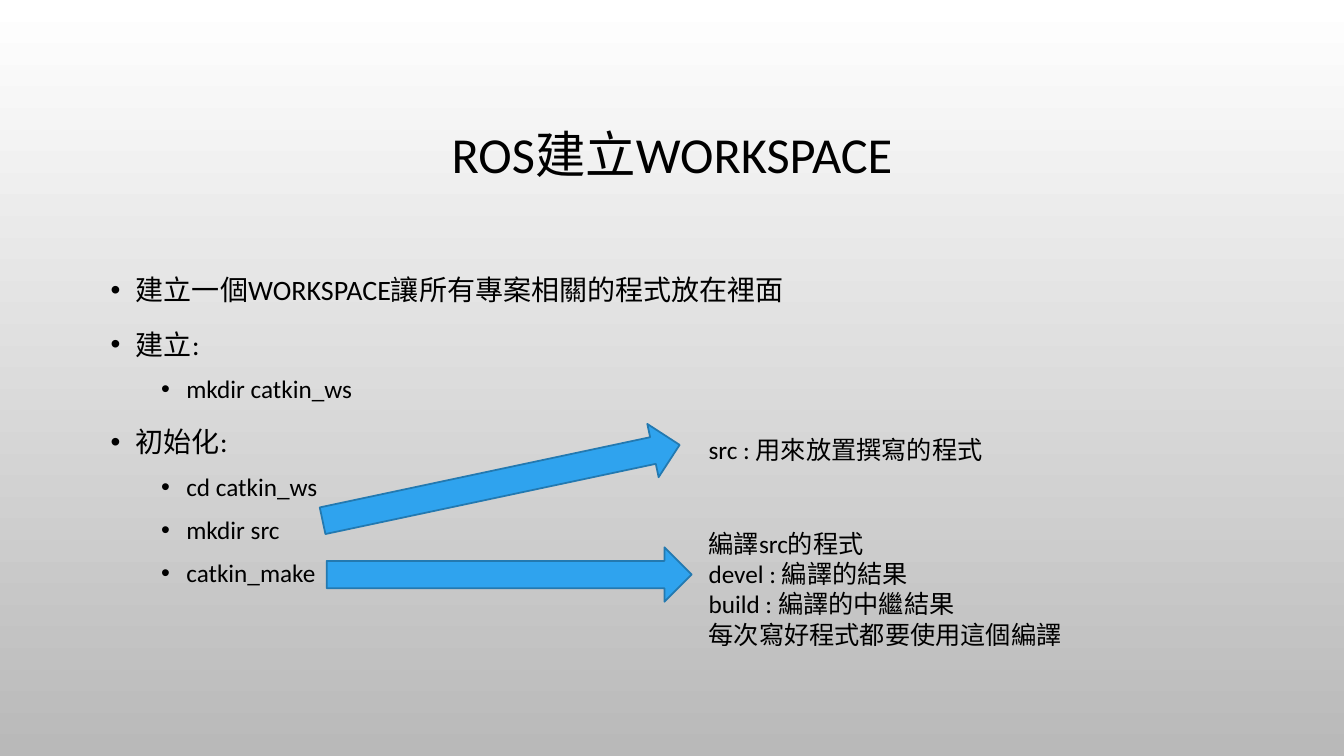
from lxml.etree import SubElement
from pptx import Presentation
from pptx.dml.color import RGBColor
from pptx.enum.shapes import MSO_SHAPE as Shape
from pptx.enum.text import MSO_ANCHOR as Anchor, MSO_AUTO_SIZE as AutoSize, PP_ALIGN as Align
from pptx.oxml.ns import qn
from pptx.util import Inches, Pt

COLORS = {"text": "000000", "arrow": "2FA3EE", "outline": "2379B0",
          "top": "FFFFFF", "bottom": "B9B9B9"}
BULLET_STYLES = [{"size": 20, "indent": 0.25, "before": 10},
                 {"size": 18, "indent": 0.75, "before": 5}]
STEPS = [(0, "建立一個WORKSPACE讓所有專案相關的程式放在裡面"),
         (0, "建立:"), (1, "mkdir catkin_ws"),
         (0, "初始化:"), (1, "cd catkin_ws"), (1, "mkdir src"), (1, "catkin_make")]
SRC_NOTE = ["src : 用來放置撰寫的程式"]
BUILD_NOTE = ["編譯src的程式", "devel : 編譯的結果", "build : 編譯的中繼結果",
              "每次寫好程式都要使用這個編譯"]


class SlideBuilder:
    """Holds the style and the current slide."""

    def __init__(self, deck, font="Calibri"):
        self.page = deck.slides.add_slide(deck.slide_layouts[5])
        self.font = font

    def color(self, name):
        return RGBColor.from_string(COLORS[name])

    def background(self):
        fill = self.page.background.fill
        fill.gradient()
        fill.gradient_angle = 270
        for stop, position, name in zip(fill.gradient_stops, (0, 1), ("top", "bottom")):
            stop.position = position
            stop.color.rgb = self.color(name)

    def format_runs(self, para, size):
        for span in para.runs:
            span.font.name = self.font
            span.font.size = Pt(size)
            span.font.color.rgb = self.color("text")

    def title(self, text, left, top, width, height):
        box = self.page.shapes.title
        box.left, box.top = Inches(left), Inches(top)
        box.width, box.height = Inches(width), Inches(height)
        frame = box.text_frame
        frame.text = text
        frame.auto_size = AutoSize.NONE
        frame.vertical_anchor = Anchor.MIDDLE
        para = frame.paragraphs[0]
        para.alignment = Align.CENTER
        para.line_spacing = 0.9
        self.format_runs(para, 36)

    def text(self, lines, left, top, width, height, size=18):
        box = self.page.shapes.add_textbox(
            Inches(left), Inches(top), Inches(width), Inches(height))
        frame = box.text_frame
        frame.word_wrap = True
        frame.text = "\n".join(lines)
        for para in frame.paragraphs:
            self.format_runs(para, size)
        return frame

    def bullets(self, items, left, top, width, height):
        frame = self.text([text for _, text in items], left, top, width, height)
        for para, (level, _) in zip(frame.paragraphs, items):
            style = BULLET_STYLES[level]
            para.level = level
            para.line_spacing = 1.2
            para.space_before = Pt(style["before"])
            self.format_runs(para, style["size"])
            props = para._p.get_or_add_pPr()
            props.set("marL", str(Inches(style["indent"])))
            props.set("indent", str(Inches(-0.25)))
            bullet_color = SubElement(props, qn("a:buClr"))
            SubElement(bullet_color, qn("a:srgbClr"), val=COLORS["text"])
            SubElement(props, qn("a:buFont"), typeface="Arial")
            SubElement(props, qn("a:buChar"), char="•")

    def arrow(self, left, top, rotation=0):
        arrow = self.page.shapes.add_shape(
            Shape.RIGHT_ARROW, Inches(left), Inches(top), Inches(3.62), Inches(0.54))
        arrow.rotation = rotation
        arrow.shadow.inherit = False
        arrow.fill.solid()
        arrow.fill.fore_color.rgb = self.color("arrow")
        arrow.line.color.rgb = self.color("outline")
        arrow.line.width = Pt(1.25)


deck = Presentation()
deck.slide_width, deck.slide_height = Inches(13.33), Inches(7.5)
builder = SlideBuilder(deck)
builder.background()
builder.title("ROS建立WORKSPACE", 1, 0.68, 11.33, 1.75)
builder.bullets(STEPS, 1, 2.59, 11.33, 3.74)
builder.arrow(3.16, 4.52, rotation=348)
builder.text(SRC_NOTE, 6.93, 4.26, 2.93, 0.4)
builder.arrow(3.24, 5.43)
builder.text(BUILD_NOTE, 6.93, 5.19, 3.74, 1.31)
deck.save("out.pptx")
